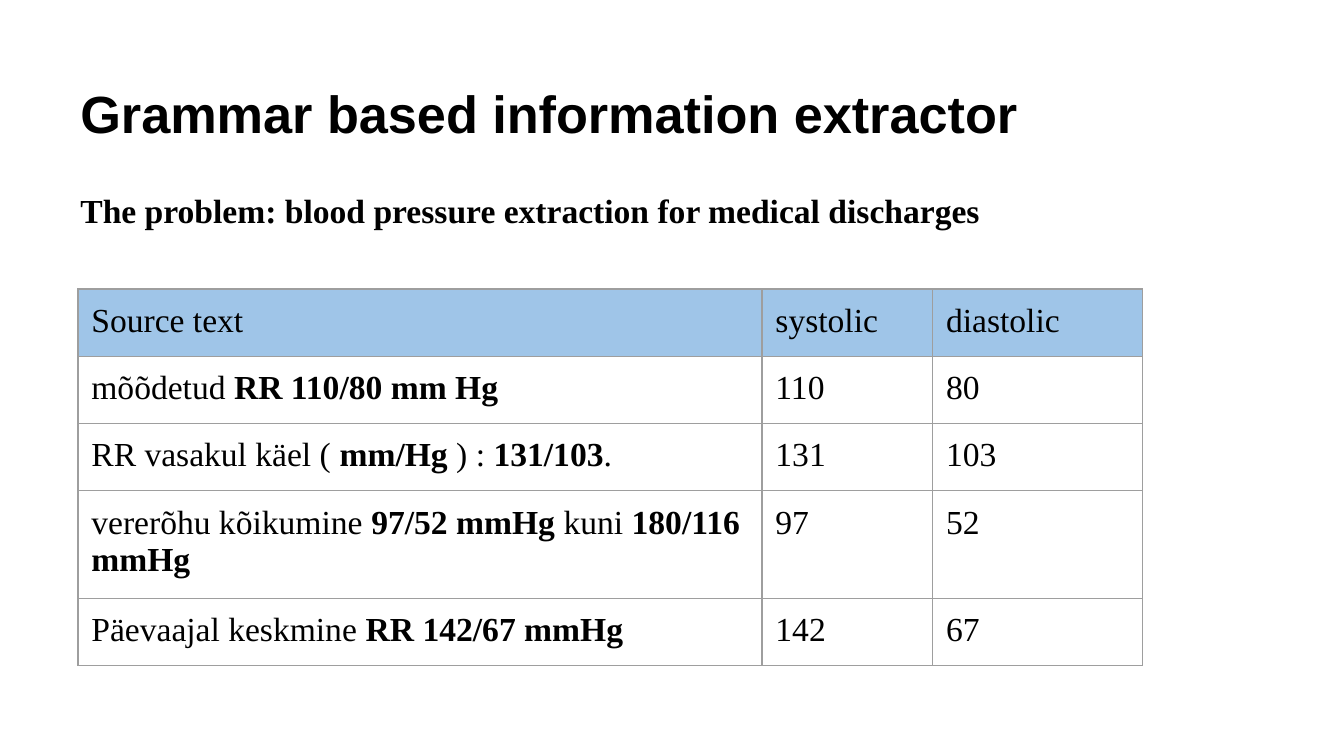
"""Build a slide on extracting blood pressure readings from medical text."""
from dataclasses import dataclass

from lxml import etree
from pptx import Presentation
from pptx.dml.color import RGBColor
from pptx.enum.text import MSO_ANCHOR
from pptx.oxml.ns import qn
from pptx.util import Inches, Pt

BOTTOM, TOP = MSO_ANCHOR.BOTTOM, MSO_ANCHOR.TOP
BLANK_LAYOUT = 6
SLIDE_WIDTH = 10
SLIDE_HEIGHT = SLIDE_WIDTH * 9 / 16
MARGIN = 0.05 * SLIDE_WIDTH
INSET = Inches(0.1)
TABLE_LEFT, TABLE_TOP = 0.58, 2.15
COLUMN_WIDTHS = (5.09, 1.27, 1.56)
ROW_HEIGHT = 0.42


@dataclass(frozen=True)
class Theme:
    ink: str = "000000"
    header: str = "9FC5E8"
    border: str = "9E9E9E"
    border_width: float = 0.75
    heading_font: str = "Arial"
    body_font: str = "Times New Roman"
    heading_size: int = 28
    body_size: int = 18


THEME = Theme()
HEADER = ("Source text", "systolic", "diastolic")
READINGS = (
    (("mõõdetud ", "RR 110/80 mm Hg"), "110", "80"),
    (("RR vasakul käel ( ", "mm/Hg", " ) : ", "131/103", "."), "131", "103"),
    (("vererõhu kõikumine ", "97/52 mmHg", " kuni ", "180/116 mmHg"), "97", "52"),
    (("Päevaajal keskmine ", "RR 142/67 mmHg"), "142", "67"),
)


def style_font(font, family, size, bold):
    font.name = family
    font.size = Pt(size)
    font.bold = bold
    font.color.rgb = RGBColor.from_string(THEME.ink)


def set_insets(holder):
    holder.margin_left = holder.margin_right = INSET
    holder.margin_top = holder.margin_bottom = INSET


def add_heading(slide, wording, top, height, family, size, anchor):
    box = slide.shapes.add_textbox(
        Inches(MARGIN), Inches(top), Inches(SLIDE_WIDTH - 2 * MARGIN), Inches(height)
    )
    frame = box.text_frame
    frame.word_wrap = True
    frame.vertical_anchor = anchor
    set_insets(frame)
    frame.text = wording
    style_font(frame.paragraphs[0].font, family, size, bold=True)


def add_borders(cell):
    properties = cell._tc.get_or_add_tcPr()
    for position, side in enumerate(("a:lnL", "a:lnR", "a:lnT", "a:lnB")):
        line = etree.Element(qn(side), w=str(Pt(THEME.border_width)))
        fill = etree.SubElement(line, qn("a:solidFill"))
        etree.SubElement(fill, qn("a:srgbClr"), val=THEME.border)
        properties.insert(position, line)


def write_cell(cell, pieces, is_header):
    """Write pieces into a cell, setting every second one in bold."""
    set_insets(cell)
    if is_header:
        cell.fill.solid()
        cell.fill.fore_color.rgb = RGBColor.from_string(THEME.header)
    else:
        cell.fill.background()
    add_borders(cell)
    paragraph = cell.text_frame.paragraphs[0]
    for index, piece in enumerate(pieces):
        run = paragraph.add_run()
        run.text = piece
        style_font(run.font, THEME.body_font, THEME.body_size, bold=index % 2 == 1)


def add_readings_table(slide):
    rows = (HEADER, *READINGS)
    table = slide.shapes.add_table(
        len(rows), len(HEADER), Inches(TABLE_LEFT), Inches(TABLE_TOP),
        Inches(sum(COLUMN_WIDTHS)), Inches(ROW_HEIGHT * len(rows)),
    ).table
    table.first_row = table.horz_banding = False
    for column, width in zip(table.columns, COLUMN_WIDTHS):
        column.width = Inches(width)
    for row_index, row in enumerate(rows):
        for column_index, entry in enumerate(row):
            pieces = (entry,) if isinstance(entry, str) else entry
            write_cell(table.cell(row_index, column_index), pieces, row_index == 0)


def main():
    deck = Presentation()
    deck.slide_width, deck.slide_height = Inches(SLIDE_WIDTH), Inches(SLIDE_HEIGHT)
    slide = deck.slides.add_slide(deck.slide_layouts[BLANK_LAYOUT])
    add_heading(slide, "Grammar based information extractor",
                0.23, 0.94, THEME.heading_font, THEME.heading_size, BOTTOM)
    add_heading(slide, "The problem: blood pressure extraction for medical discharges",
                1.31, 0.71, THEME.body_font, THEME.body_size, TOP)
    add_readings_table(slide)
    deck.save("out.pptx")


if __name__ == "__main__":
    main()
